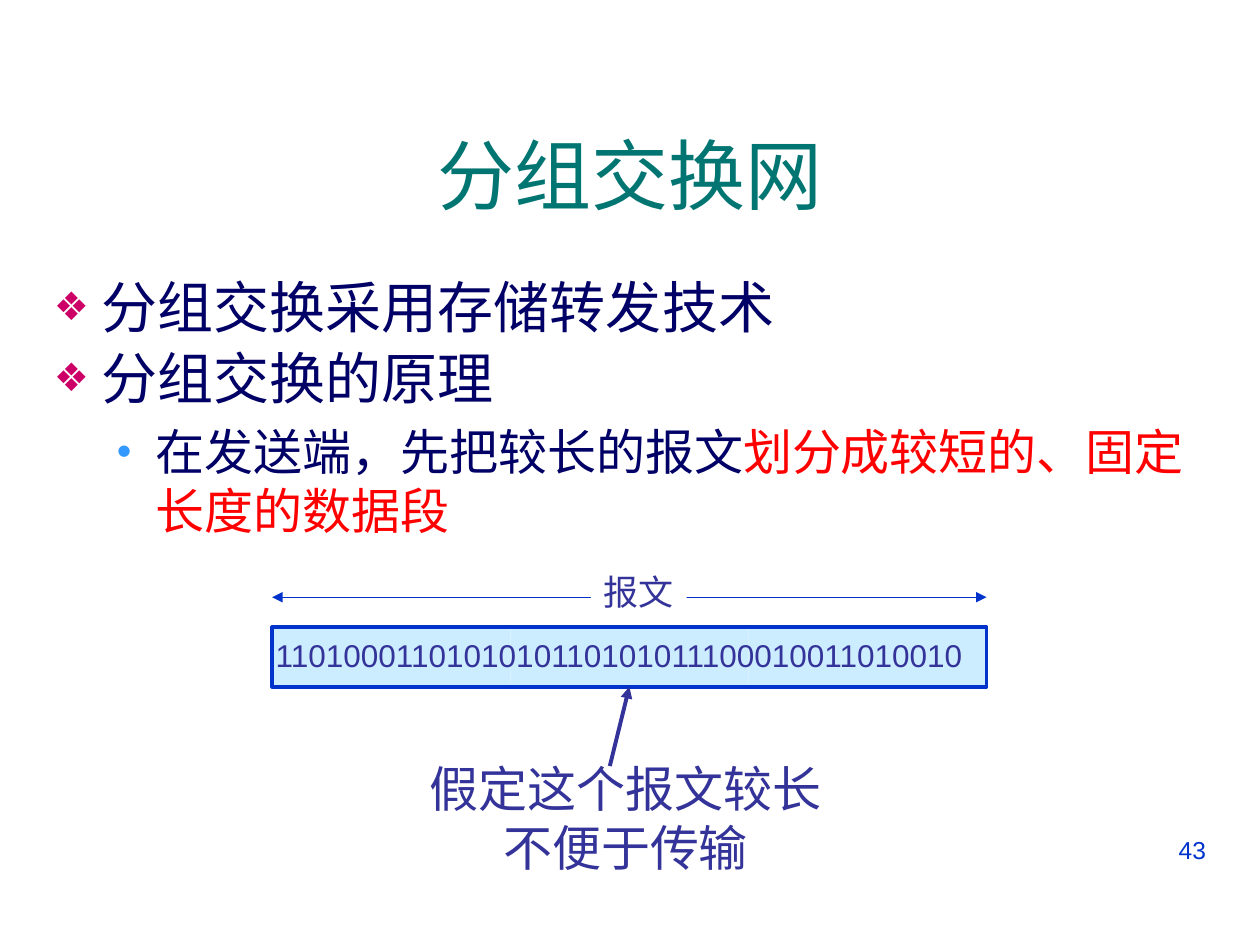
from dataclasses import dataclass
from typing import Optional

from lxml.etree import SubElement
from pptx import Presentation
from pptx.dml.color import RGBColor
from pptx.enum.shapes import MSO_CONNECTOR as Connector, MSO_SHAPE as Preset
from pptx.enum.text import MSO_ANCHOR as Anchor, MSO_AUTO_SIZE as AutoSize, PP_ALIGN as Align
from pptx.oxml.ns import qn
from pptx.util import Inches, Pt

COLORS = {
    "teal": "007572", "navy": "000066", "red": "FF0000", "magenta": "CC0066",
    "sky": "3399FF", "blue": "0033CC", "indigo": "333399", "pale": "CCECFF",
    "white": "FFFFFF",
}
COLUMNS, ROWS = 100, 75
WIDTH, HEIGHT = Inches(10), Inches(7.5)


@dataclass
class Area:
    column: float
    row: float
    columns: float
    rows: float

    def lengths(self) -> tuple:
        return (across(self.column), down(self.row),
                across(self.columns), down(self.rows))


@dataclass
class Style:
    size: float
    font: str
    color: str


@dataclass
class Bullet:
    char: str
    color: str
    percent: int
    left: float
    hanging: float


@dataclass
class Line:
    spans: list
    style: Style
    align: Align = Align.LEFT
    bullet: Optional[Bullet] = None
    spacing: Optional[float] = None
    before: float = 0


def across(columns: float) -> int:
    return round(WIDTH * columns / COLUMNS)


def down(rows: float) -> int:
    return round(HEIGHT * rows / ROWS)


def rgb(name: str) -> RGBColor:
    return RGBColor.from_string(COLORS[name])


def paint(shape, color: str) -> None:
    shape.fill.solid()
    shape.fill.fore_color.rgb = rgb(color)


def add_bullet(para, bullet: Bullet) -> None:
    props = para._p.get_or_add_pPr()
    props.set("marL", str(Inches(bullet.left)))
    props.set("indent", str(-Inches(bullet.hanging)))
    color = SubElement(props, qn("a:buClr"))
    SubElement(color, qn("a:srgbClr"), val=COLORS[bullet.color])
    SubElement(props, qn("a:buSzPct"), val=str(bullet.percent * 1000))
    SubElement(props, qn("a:buFont"), typeface="Arial")
    SubElement(props, qn("a:buChar"), char=bullet.char)


def write(shape, lines: list, wrap: bool = True, anchor: Anchor = Anchor.TOP) -> None:
    frame = shape.text_frame
    formats = {"word_wrap": wrap, "vertical_anchor": anchor,
               "auto_size": AutoSize.NONE if wrap else AutoSize.SHAPE_TO_FIT_TEXT}
    for name, value in formats.items():
        setattr(frame, name, value)
    for index, line in enumerate(lines):
        para = frame.add_paragraph() if index else frame.paragraphs[0]
        if line.bullet:
            add_bullet(para, line.bullet)
        para.alignment = line.align
        if line.spacing:
            para.line_spacing = line.spacing
        if line.before:
            para.space_before = Pt(line.before)
        for text, color in line.spans:
            span = para.add_run()
            span.text = text
            values = {"size": Pt(line.style.size), "name": line.style.font}
            for name, value in values.items():
                setattr(span.font, name, value)
            span.font.color.rgb = rgb(color or line.style.color)


def add_text(page, area: Area, lines: list, wrap: bool = True):
    box = page.shapes.add_textbox(*area.lengths())
    write(box, lines, wrap)
    return box


def add_rectangle(page, area: Area, fill: Optional[str] = None,
                  line: Optional[str] = None, weight: float = 0):
    shape = page.shapes.add_shape(Preset.RECTANGLE, *area.lengths())
    shape.shadow.inherit = False
    if fill:
        paint(shape, fill)
    else:
        shape.fill.background()
    if line:
        shape.line.color.rgb = rgb(line)
        shape.line.width = Pt(weight)
    else:
        shape.line.fill.background()
    return shape


def add_arrow(page, start: tuple, end: tuple, color: str, weight: float, tips: list):
    arrow = page.shapes.add_connector(
        Connector.STRAIGHT, across(start[0]), down(start[1]), across(end[0]), down(end[1]))
    arrow.line.color.rgb = rgb(color)
    arrow.line.width = Pt(weight)
    for tip in tips:
        SubElement(arrow.line._get_or_add_ln(), qn(f"a:{tip}"), type="triangle")
    SubElement(arrow._element.spPr, qn("a:effectLst"))
    return arrow


def main() -> None:
    deck = Presentation()
    deck.slide_width, deck.slide_height = WIDTH, HEIGHT
    page = deck.slides.add_slide(deck.slide_layouts[5])

    title = page.shapes.title
    heading = Area(3.3, 7.5, 93.4, 12.5)
    for name, value in zip(("left", "top", "width", "height"), heading.lengths()):
        setattr(title, name, value)
    write(title, [Line([("分组交换网", None)], Style(44, "Arial", "teal"), Align.CENTER)],
          anchor=Anchor.MIDDLE)

    add_text(page, Area(71.7, 65.8, 25, 5.2),
             [Line([("43", None)], Style(14, "Arial", "blue"), Align.RIGHT)])

    diamond = Bullet("❖", "magenta", 70, 0.38, 0.38)
    dot = Bullet("•", "sky", 85, 0.81, 0.31)
    point, detail = Style(32, "Cabin", "navy"), Style(28, "Cabin", "navy")
    add_text(page, Area(3.3, 21.7, 93.4, 42.5), [
        Line([("分组交换采用存储转发技术", None)], point, bullet=diamond, spacing=0.9),
        Line([("分组交换的原理", None)], point, bullet=diamond, spacing=0.9, before=6.4),
        Line([("在发送端，先把较长的报文", None), ("划分成较短的、固定长度的数据段", "red")],
             detail, bullet=dot, before=5.6),
    ])

    message = Area(21.6, 49.8, 56.7, 4.7)
    add_arrow(page, (message.column, 47.4), (message.column + message.columns, 47.4),
              "blue", 0.75, ["headEnd", "tailEnd"])
    label = add_text(page, Area(46.9, 44.8, 7.6, 4.3),
                     [Line([("报文", None)], Style(20, "Times New Roman", "indigo"))], wrap=False)
    paint(label, "white")

    segments = 3
    share = message.columns / segments
    for index in range(segments):
        add_rectangle(page, Area(message.column + index * share, message.row,
                                 share, message.rows), fill="pale")
    outline = add_rectangle(page, message, line="blue", weight=2.25)
    add_text(page, Area(20.9, 50, 57.6, 4),
             [Line([("1101000110101010110101011100010011010010", None)],
                   Style(18, "Arial", "indigo"))], wrap=False)

    remark = Style(28, "Cabin", "indigo")
    add_text(page, Area(33.1, 59.7, 33.1, 10.3),
             [Line([(text, None)], remark, Align.CENTER)
              for text in ("假定这个报文较长", "不便于传输")], wrap=False)
    pointer = add_arrow(page, (48.4, 60.8), (50, 54.5), "indigo", 2.25, ["tailEnd"])
    pointer.end_connect(outline, 2)

    deck.save("out.pptx")


if __name__ == "__main__":
    main()
